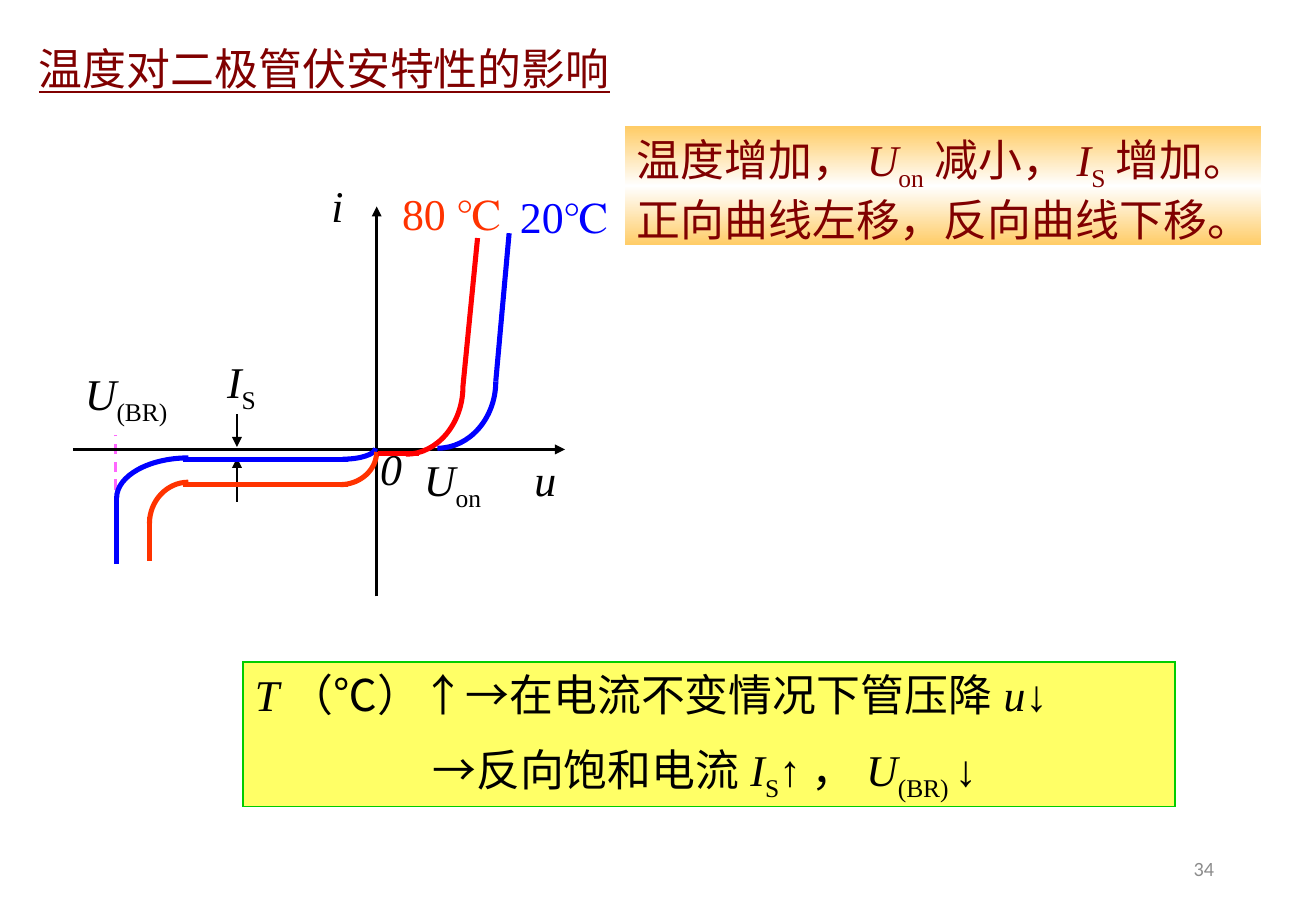
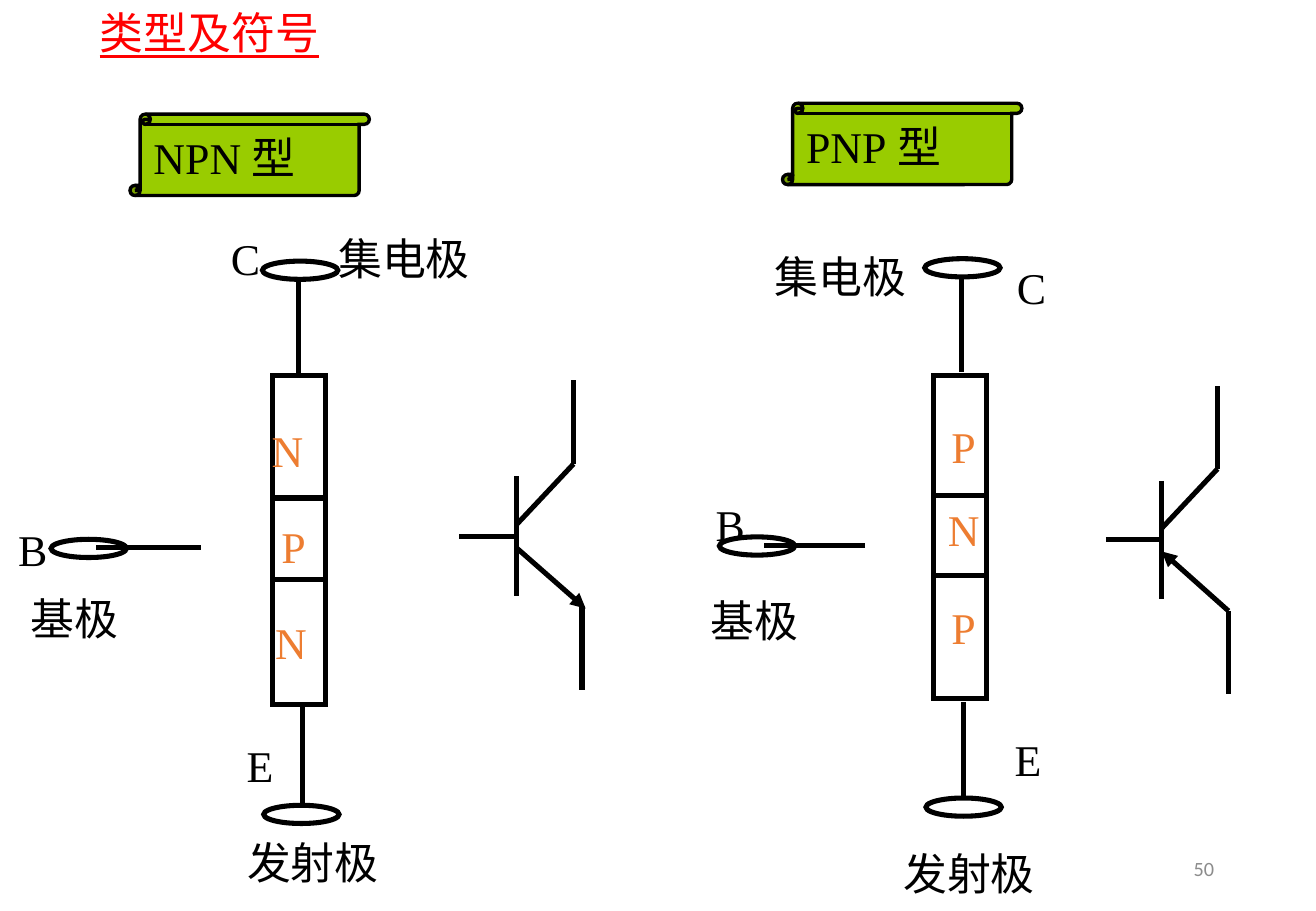
from copy import deepcopy

from pptx import Presentation
from pptx.dml.color import RGBColor
from pptx.enum.dml import MSO_LINE
from pptx.enum.shapes import MSO_CONNECTOR, MSO_SHAPE
from pptx.enum.text import MSO_ANCHOR, MSO_AUTO_SIZE, PP_ALIGN
from pptx.oxml.ns import qn
from pptx.util import Inches, Pt

BLACK, MAROON, RED = "000000", "800000", "FF0000"
BLUE, HOT, MAGENTA = "0000FF", "FF3300", "FF66FF"
ORANGE, GREY = "ED7D31", "8C8C8C"
THICK = 3
TIGHT, ROOMY = (0.1, 0.05), (0.11, 0.06)
ARC_PULL = 0.55  # Bezier handle length of a quarter ellipse

# Each paragraph is a list of (text, style); "i" is italic, "sub" a subscript.
U_BR = [("U", "i"), ("(BR)", "sub")]
U_ON = [("U", "i"), ("on", "sub")]
I_S = [("I", "i"), ("S", "sub")]

EFFECT = [[("温度增加，", ""), *U_ON, ("减小，", ""), *I_S,
           ("增加。正向曲线左移，反向曲线下移。", "")]]
CONCLUSION = [
    [("T", "i"), ("（℃）↑→在电流不变情况下管压降", ""), ("u", "i"), ("↓", "")],
    [("→反向饱和电流", ""), *I_S, ("↑，", ""), ("U", "i"), ("(BR) ", "sub"), ("↓", "")],
]
# Lines are (start, end), bends (level end, upright end, colour),
# labels (left, top, width, runs).
AXES = dict(
    arrows=[((3.1, 4.91), (3.1, 1.7)), ((0.6, 3.7), (4.65, 3.7))],
    labels=[(4.3, 3.68, 0.4, [("u", "i")]), (2.63, 1.42, 0.3, [("i", "i")]),
            (0.6, 2.97, 0.96, U_BR), (3.39, 3.68, 0.72, U_ON)],
)
SATURATION_ARROWS = [((1.95, 3.41), (1.95, 3.68)), ((1.95, 4.13), (1.95, 3.77))]
CURVES = [
    dict(
        bends=[((3.6, 3.69), (4.08, 3.14), BLUE), ((1.55, 3.77), (0.96, 4.1), BLUE),
               ((2.82, 3.78), (3.09, 3.69), BLUE)],
        lines=[((4.08, 3.14), (4.19, 1.92), BLUE), ((0.96, 4.09), (0.96, 4.64), BLUE),
               ((1.51, 3.78), (2.86, 3.78), BLUE)],
        label=((4.18, 1.51, 0.96, 0.54), "20℃", BLUE),
    ),
    dict(
        bends=[((3.34, 3.74), (3.81, 3.18), RED), ((1.55, 3.97), (1.23, 4.31), HOT),
               ((2.8, 3.99), (3.1, 3.72), HOT)],
        lines=[((3.81, 3.18), (3.93, 1.96), RED), ((3.11, 3.73), (3.45, 3.73), RED),
               ((1.23, 4.26), (1.23, 4.62), HOT), ((1.51, 3.99), (2.86, 3.99), HOT)],
        label=((3.21, 1.49, 1.05, 0.54), "80 ℃", HOT),
    ),
]

TRANSISTORS = [
    dict(
        banner=("NPN型", 1.07, 0.94),
        stack=(2.24, 3.09, [1.01, 0.67, 1.03]),  # left, top, layer heights
        terminals=[(2.47, 2.22), (0.73, 4.51), (2.48, 6.7)],  # centres
        wires=[((2.46, 3.09), (2.46, 2.29)), ((1.65, 4.51), (0.79, 4.51)),
               ((2.49, 6.63), (2.49, 5.82)),
               ((4.25, 3.92), (4.25, 4.91)), ((4.25, 4.32), (4.72, 3.82)),
               ((3.78, 4.42), (4.25, 4.42)), ((4.72, 3.13), (4.72, 3.82)),
               ((4.79, 4.99), (4.79, 5.68))],
        emitter=((4.25, 4.51), (4.82, 5.01)),
        layer_names=[("N", 2.07, 3.43, 0.59), ("P", 2.12, 4.22, 0.59),
                     ("N", 2.1, 5.01, 0.59)],
        labels=[("C", 1.78, 1.85, 0.48), ("集电极", 2.48, 1.85, 1.69),
                ("B", 0.04, 4.24, 0.46), ("基极", 0.14, 4.81, 0.95),
                ("E", 1.91, 6.02, 0.46), ("发射极", 1.77, 6.82, 1.61)],
    ),
    dict(
        banner=("PNP型", 6.44, 0.85),
        stack=(7.68, 3.09, [0.99, 0.66, 1.01]),
        terminals=[(7.92, 2.2), (6.23, 4.49), (7.93, 6.64)],
        wires=[((7.91, 3.06), (7.91, 2.27)), ((7.12, 4.49), (6.29, 4.49)),
               ((7.93, 6.57), (7.93, 5.78)),
               ((9.56, 3.96), (9.56, 4.93)), ((9.56, 4.35), (10.02, 3.86)),
               ((9.1, 4.44), (9.56, 4.44)), ((10.02, 3.18), (10.02, 3.86)),
               ((10.11, 5.03), (10.11, 5.71))],
        emitter=((10.11, 5.03), (9.56, 4.54)),
        layer_names=[("P", 7.71, 3.4, 0.44), ("N", 7.69, 4.08, 0.48),
                     ("P", 7.71, 4.89, 0.44)],
        labels=[("C", 8.06, 2.09, 0.86), ("集电极", 6.1, 2.0, 1.64),
                ("B", 5.78, 4.04, 0.46), ("基极", 5.66, 4.83, 1.1),
                ("E", 7.95, 5.97, 1.02), ("发射极", 7.32, 6.91, 1.31)],
    ),
]


def rgb(hex_colour):
    return RGBColor.from_string(hex_colour)


def inches(*values):
    return [Inches(value) for value in values]


def write(shape, text, color=BLACK, size=26, font="Times New Roman",
          align=PP_ALIGN.LEFT, anchor=MSO_ANCHOR.TOP, insets=TIGHT, wrap=True,
          underline=None, gap=0, later_indent=0):
    """Fill a shape with a plain string or with paragraphs of styled runs."""
    frame = shape.text_frame
    frame.auto_size = MSO_AUTO_SIZE.NONE
    frame.word_wrap = wrap
    frame.vertical_anchor = anchor
    frame.margin_left = frame.margin_right = Inches(insets[0])
    frame.margin_top = frame.margin_bottom = Inches(insets[1])
    paragraphs = [[(text, "")]] if isinstance(text, str) else text
    for index, runs in enumerate(paragraphs):
        paragraph = frame.add_paragraph() if index else frame.paragraphs[0]
        paragraph.alignment = align
        if index:
            paragraph.space_before = Pt(gap)
            properties = paragraph._p.get_or_add_pPr()
            properties.set("marL", str(Inches(later_indent)))
            properties.set("indent", "0")
        for words, style in runs:
            run = paragraph.add_run()
            run.text = words
            run.font.size = Pt(size)
            run.font.name = font
            run.font.color.rgb = rgb(color)
            run.font.underline = underline
            run.font.italic = style == "i"
            if style == "sub":
                run.font._element.set("baseline", "-25000")


def add_text(parent, box, text, **style):
    write(parent.shapes.add_textbox(*inches(*box)), text, **style)


def add_ln_child(shape, tag, **attributes):
    outline = shape.line._get_or_add_ln()
    outline.append(outline.makeelement(qn(tag), attributes))


def style_block(shape, fill, line, width):
    shape.shadow.inherit = False
    if fill:
        shape.fill.solid()
        shape.fill.fore_color.rgb = rgb(fill)
    else:
        shape.fill.background()
    if line:
        shape.line.color.rgb = rgb(line)
        shape.line.width = Pt(width)
        add_ln_child(shape, "a:miter", lim="800000")
    else:
        shape.line.fill.background()


def add_block(parent, kind, box, fill=None, line=None, width=THICK):
    shape = parent.shapes.add_shape(kind, *inches(*box))
    style_block(shape, fill, line, width)
    return shape


def fill_gradient(shape, colors, angle):
    shape.fill.gradient()
    shape.fill.gradient_angle = angle
    stop_list = shape._element.spPr.find(qn("a:gradFill")).find(qn("a:gsLst"))
    while len(stop_list) < len(colors):
        stop_list.append(deepcopy(stop_list[0]))
    for index, (stop, color) in enumerate(zip(shape.fill.gradient_stops, colors)):
        stop.position = index / (len(colors) - 1)
        stop.color.rgb = rgb(color)


def add_line(parent, start, end, color=BLACK, width=THICK, arrow=False, dash=None):
    line = parent.shapes.add_connector(MSO_CONNECTOR.STRAIGHT, *inches(*start, *end))
    line.line.color.rgb = rgb(color)
    line.line.width = Pt(width)
    if dash:
        line.line.dash_style = dash
    if arrow:
        add_ln_child(line, "a:tailEnd", type="triangle")
    properties = line._element.spPr
    properties.append(properties.makeelement(qn("a:effectLst"), {}))


def add_bend(parent, level_end, upright_end, color):
    """Draw a quarter ellipse as one Bezier segment."""
    builder = parent.shapes.build_freeform(*inches(*level_end))
    builder.add_line_segments([inches(*upright_end)], close=False)
    bend = builder.convert_to_shape()
    style_block(bend, None, color, THICK)
    segment = next(bend._element.iter(qn("a:lnTo")))
    (x0, y0), (x1, y1) = [(int(point.get("x")), int(point.get("y")))
                          for point in bend._element.iter(qn("a:pt"))]
    curve = segment.makeelement(qn("a:cubicBezTo"), {})
    for x, y in ((x0 + ARC_PULL * (x1 - x0), y0), (x1, y1 - ARC_PULL * (y1 - y0)),
                 (x1, y1)):
        curve.append(curve.makeelement(qn("a:pt"), {"x": str(int(x)), "y": str(int(y))}))
    segment.getparent().replace(segment, curve)


def new_slide(deck, title, box, color, number):
    slide = deck.slides.add_slide(deck.slide_layouts[5])
    heading = slide.shapes.title
    heading.left, heading.top, heading.width, heading.height = inches(*box)
    write(heading, title, color=color, underline=True)
    add_text(slide, (7.65, 6.95, 2.44, 0.4), number, size=12, font="Calibri",
             color=GREY, align=PP_ALIGN.RIGHT, anchor=MSO_ANCHOR.MIDDLE)
    return slide


def draw_diode_curves(slide):
    add_line(slide, (0.95, 4.03), (0.95, 3.58), MAGENTA, 1.5, dash=MSO_LINE.DASH)
    add_text(slide, (3.03, 3.59, 0.38, 0.54), [[("0", "i")]], wrap=False)
    axes = slide.shapes.add_group_shape()
    for start, end in AXES["arrows"]:
        add_line(axes, start, end, width=1.5, arrow=True)
    for left, top, width, runs in AXES["labels"]:
        add_text(axes, (left, top, width, 0.54), [runs], wrap=False)
    for start, end in SATURATION_ARROWS:
        add_line(slide, start, end, width=0.75, arrow=True)
    add_text(slide, (1.77, 2.87, 0.48, 0.54), [I_S], wrap=False)
    for parts in CURVES:
        curve = slide.shapes.add_group_shape()
        for bend in parts["bends"]:
            add_bend(curve, *bend)
        for line in parts["lines"]:
            add_line(curve, *line)
        box, temperature, color = parts["label"]
        add_text(curve, box, temperature, color=color, wrap=False)

    effect = add_block(slide, MSO_SHAPE.RECTANGLE, (5.14, 1.04, 5.24, 0.98))
    fill_gradient(effect, ["FFCC66", "FFFFFF", "FFCC66"], 90)
    write(effect, EFFECT, color=MAROON)
    conclusion = add_block(slide, MSO_SHAPE.RECTANGLE, (2, 5.45, 7.67, 1.19),
                           "FFFF66", "00CC00", 0.75)
    write(conclusion, CONCLUSION, gap=13, later_indent=1.46)


def draw_transistor(slide, banner, stack, terminals, wires, emitter,
                    layer_names, labels):
    name, left, top = banner
    scroll = add_block(slide, MSO_SHAPE.VERTICAL_SCROLL, (left, top, 1.97, 0.67),
                       "99CC00", BLACK, 2)
    write(scroll, name, anchor=MSO_ANCHOR.MIDDLE, insets=ROOMY)

    diagram = slide.shapes.add_group_shape()
    left, top, heights = stack
    for height in heights:
        add_block(diagram, MSO_SHAPE.RECTANGLE, (left, top, 0.44, height), line=BLACK)
        top += height
    for x, y in terminals:
        add_block(diagram, MSO_SHAPE.OVAL, (x - 0.31, y - 0.07, 0.62, 0.15), line=BLACK)
    for start, end in wires:
        add_line(diagram, start, end)
    add_line(diagram, *emitter, arrow=True)

    for group, color in ((layer_names, ORANGE), (labels, BLACK)):
        for text, left, top, width in group:
            add_text(diagram, (left, top, width, 0.55), text, color=color, wrap=False,
                     align=PP_ALIGN.CENTER, anchor=MSO_ANCHOR.MIDDLE, insets=ROOMY)


def main():
    deck = Presentation()
    deck.slide_width, deck.slide_height = inches(10.83, 7.5)
    draw_diode_curves(new_slide(deck, "温度对二极管伏安特性的影响",
                                (0.22, 0.29, 7.31, 0.54), MAROON, "34"))
    types = new_slide(deck, "类型及符号", (0.72, 0, 2.9, 0.72), RED, "50")
    for transistor in TRANSISTORS:
        draw_transistor(types, **transistor)
    deck.save("out.pptx")


if __name__ == "__main__":
    main()
